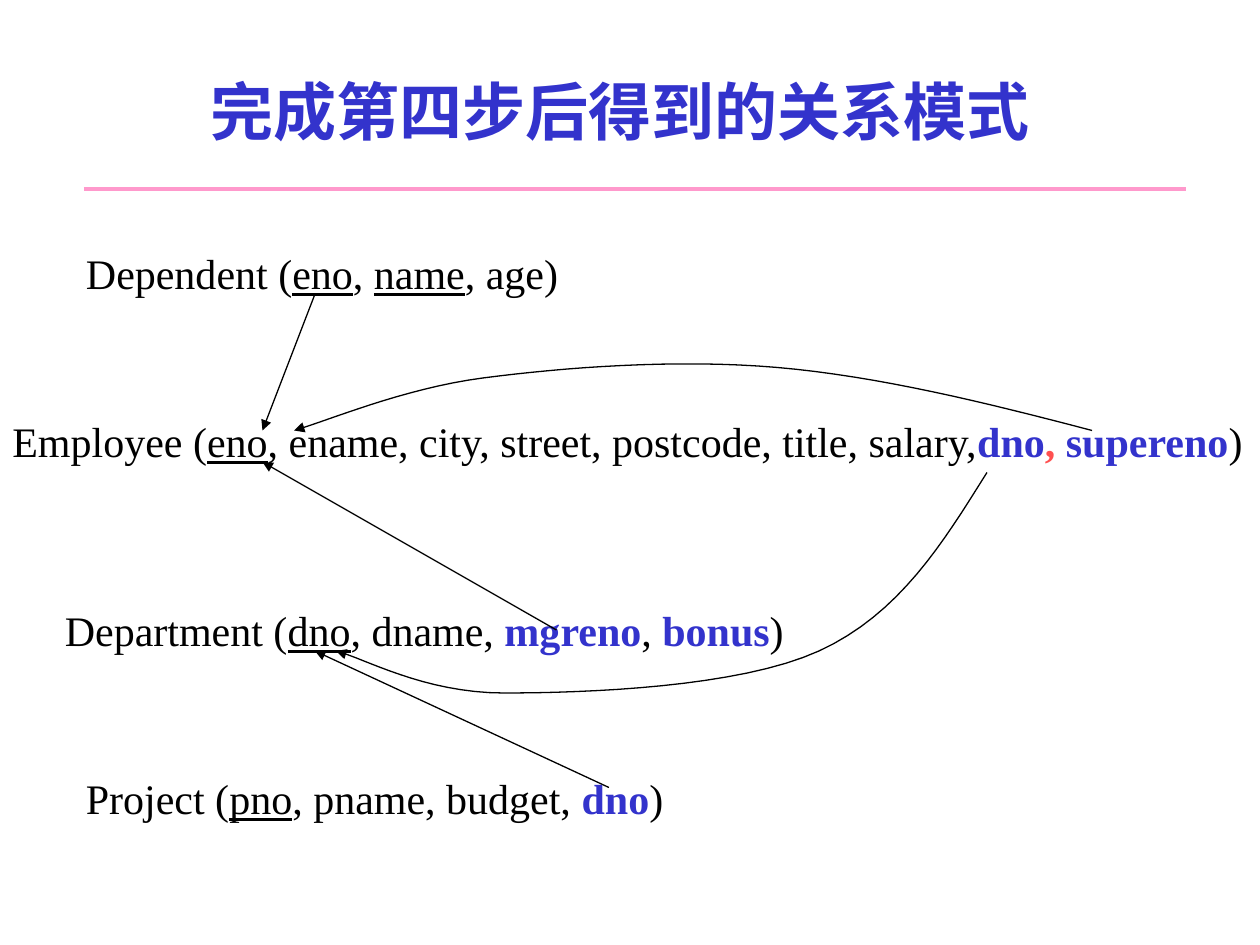
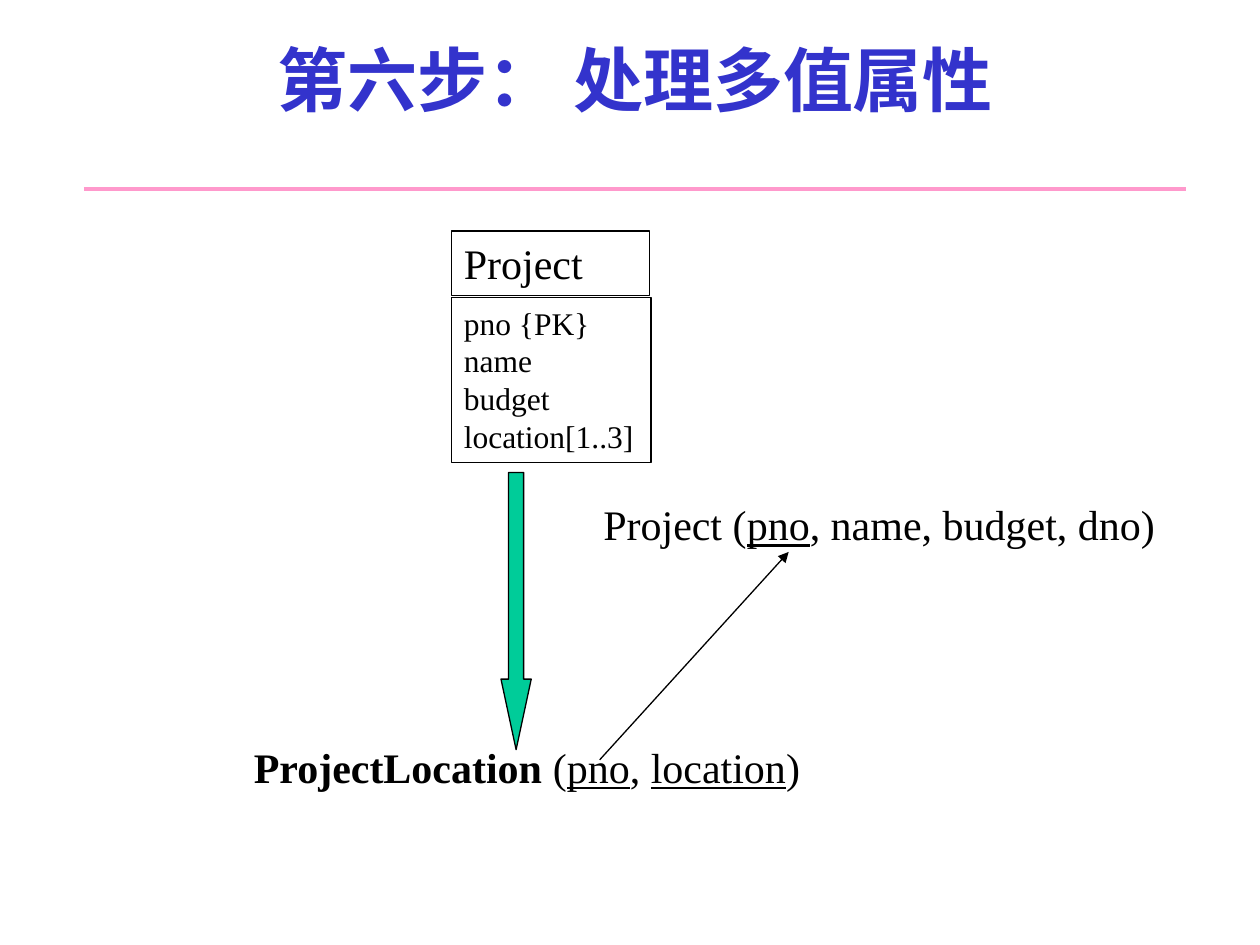
from dataclasses import dataclass

from lxml import etree
from pptx import Presentation
from pptx.dml.color import RGBColor
from pptx.enum.shapes import MSO_CONNECTOR, MSO_SHAPE
from pptx.enum.text import MSO_ANCHOR, PP_ALIGN
from pptx.oxml.ns import qn
from pptx.util import Pt

LINE = MSO_CONNECTOR.STRAIGHT
RECT, DOWN = MSO_SHAPE.RECTANGLE, MSO_SHAPE.DOWN_ARROW
TOP, MIDDLE = MSO_ANCHOR.TOP, MSO_ANCHOR.MIDDLE
LEFT, CENTER = PP_ALIGN.LEFT, PP_ALIGN.CENTER


@dataclass(frozen=True)
class Theme:
    ink: str = "000000"
    blue: str = "3333CC"
    red: str = "FF5050"
    pink: str = "FF99CC"
    green: str = "00CC99"
    head: str = "Noto Sans CJK SC"
    body: str = "Times New Roman"
    size: int = 24
    small: int = 18
    thin: float = 0.75
    thick: float = 2


THEME = Theme()

# Run styles: colour, bold, underline
STYLES = {
    "plain": (THEME.ink, False, False),
    "key": (THEME.ink, False, True),
    "bold": (THEME.ink, True, False),
    "new": (THEME.blue, True, False),
    "mark": (THEME.red, True, False),
}

# Titles: text, size, box
STEP_FOUR = ("完成第四步后得到的关系模式", 36, (6, 18, 696, 90))
STEP_SIX = ("第六步： 处理多值属性", 40, (6, 0, 714, 90))
RULE = ((48, 108), (678, 108))

# Schemas: box, runs
TABLES = [
    ((0, 234, 720, 36), [
        ("Employee (", "plain"), ("eno", "key"),
        (", ename, city, street, postcode, title, salary,", "plain"),
        ("dno", "new"), (", ", "mark"), ("supereno", "new"), (")", "plain")]),
    ((42, 438, 678, 36), [
        ("Project (", "plain"), ("pno", "key"), (", pname, budget, ", "plain"),
        ("dno", "new"), (")", "plain")]),
    ((42, 138, 284, 36), [
        ("Dependent (", "plain"), ("eno", "key"), (", ", "plain"),
        ("name", "key"), (", age)", "plain")]),
    ((30, 342, 426, 36), [
        ("Department (", "plain"), ("dno", "key"), (", dname, ", "plain"),
        ("mgreno", "new"), (", ", "plain"), ("bonus", "new"), (")", "plain")]),
]
LINKS = [((180, 168), (150, 246)), ((348, 450), (180, 372)), ((318, 360), (150, 264))]

# Curved links: start, then cubic segments as two controls and an end
CURVES = [
    ((624, 246), [((563, 230), (502, 215), (444, 210)),
                  ((386, 205), (322, 210), (276, 216)),
                  ((230, 222), (186, 241), (168, 246))]),
    ((564, 270), [((539, 310), (514, 351), (468, 372)),
                  ((422, 393), (334, 396), (288, 396)),
                  ((242, 396), (208, 376), (192, 372))]),
]

PROJECT = ((337.7, 281.5, 354, 36), [
    ("Project (", "plain"), ("pno", "key"), (", name, budget, dno)", "plain")])
PLACES = ((138, 420, 327, 36), [
    ("ProjectLocation ", "bold"), ("(", "plain"), ("pno", "key"),
    (", ", "plain"), ("location", "key"), (")", "plain")])
PLACE_LINK = ((342.7, 434.2), (450.7, 315.4))

# Class boxes: box, size, lines
CLASS = [
    ((258, 132, 113, 36.7), THEME.size, ["Project"]),
    ((258, 170, 114, 94.3), THEME.small,
     ["pno {PK}", "name", "budget", "location[1..3]"]),
]
BIG_ARROW = (286.3, 270, 17.3, 158.4)


def pts(values):
    return [Pt(v) for v in values]


def stroke(line, color=THEME.ink, width=THEME.thin):
    line.color.rgb = RGBColor.from_string(color)
    line.width = Pt(width)


def tip(shape):
    """Put a triangle head on the end of a line."""
    props = shape._element.spPr.find(qn("a:ln"))
    etree.SubElement(props, qn("a:tailEnd"), type="triangle", w="med", len="med")


def style(run, size, kind="plain", face=THEME.body):
    color, bold, under = STYLES[kind]
    font = run.font
    font.name, font.size = face, Pt(size)
    font.bold, font.underline = bold, under
    font.color.rgb = RGBColor.from_string(color)
    east = etree.SubElement(run._r.get_or_add_rPr(), qn("a:ea"))
    east.set("typeface", face)


def title(slide, text, size, box):
    frame = slide.shapes.add_textbox(*pts(box)).text_frame
    frame.word_wrap, frame.vertical_anchor = True, MIDDLE
    frame.text = text
    para = frame.paragraphs[0]
    para.alignment = CENTER
    style(para.runs[0], size, "new", THEME.head)


def schema(slide, box, runs):
    """Write one relation on a line, run by run."""
    frame = slide.shapes.add_textbox(*pts(box)).text_frame
    frame.word_wrap = True
    for text, kind in runs:
        run = frame.paragraphs[0].add_run()
        run.text = text
        style(run, THEME.size, kind)


def link(slide, start, end, color=THEME.ink, width=THEME.thin, head=True):
    wire = slide.shapes.add_connector(LINE, *pts(start + end))
    stroke(wire.line, color, width)
    if head:
        tip(wire)
    etree.SubElement(wire._element.spPr, qn("a:effectLst"))


def trace(start, parts, steps=16):
    """Return points along a chain of cubic curves."""
    path = []
    for one, two, end in parts:
        for i in range(1, steps + 1):
            t = i / steps
            u = 1 - t
            path.append(pts(
                u**3 * a + 3 * u * u * t * b + 3 * u * t * t * c + t**3 * d
                for a, b, c, d in zip(start, one, two, end)))
        start = end
    return path


def curve(slide, start, parts):
    pen = slide.shapes.build_freeform(*pts(start))
    pen.add_line_segments(trace(start, parts), close=False)
    shape = pen.convert_to_shape()
    shape.shadow.inherit = False
    shape.fill.background()
    stroke(shape.line)
    tip(shape)


def card(slide, box, size, lines):
    shape = slide.shapes.add_shape(RECT, *pts(box))
    shape.shadow.inherit = False
    shape.fill.background()
    stroke(shape.line)
    frame = shape.text_frame
    frame.word_wrap, frame.vertical_anchor = True, TOP
    frame.text = "\n".join(lines)
    for para in frame.paragraphs:
        para.alignment = LEFT
        style(para.runs[0], size)


def arrow(slide, box):
    shape = slide.shapes.add_shape(DOWN, *pts(box))
    shape.adjustments[0], shape.adjustments[1] = 0.5, 2.33
    shape.shadow.inherit = False
    shape.fill.solid()
    shape.fill.fore_color.rgb = RGBColor.from_string(THEME.green)
    stroke(shape.line)


def page(deck, heading):
    """Add a slide with the shared rule and a title."""
    slide = deck.slides.add_slide(deck.slide_layouts[6])
    link(slide, *RULE, THEME.pink, THEME.thick, head=False)
    title(slide, *heading)
    return slide


def main():
    deck = Presentation()
    deck.slide_width, deck.slide_height = Pt(720), Pt(540)

    slide = page(deck, STEP_FOUR)
    for table in TABLES:
        schema(slide, *table)
    for ends in LINKS:
        link(slide, *ends)
    for bend in CURVES:
        curve(slide, *bend)

    slide = page(deck, STEP_SIX)
    schema(slide, *PROJECT)
    link(slide, *PLACE_LINK)
    for part in CLASS:
        card(slide, *part)
    schema(slide, *PLACES)
    arrow(slide, BIG_ARROW)

    deck.save("out.pptx")


if __name__ == "__main__":
    main()
